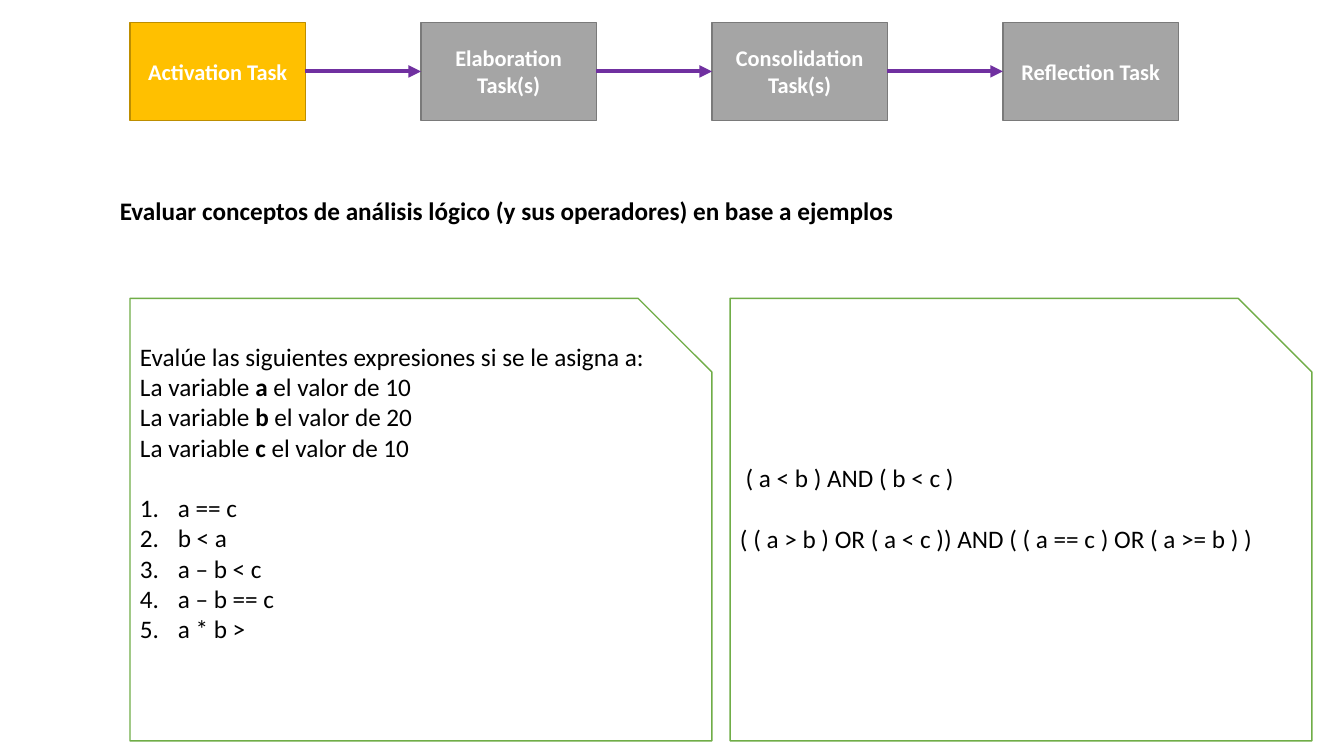
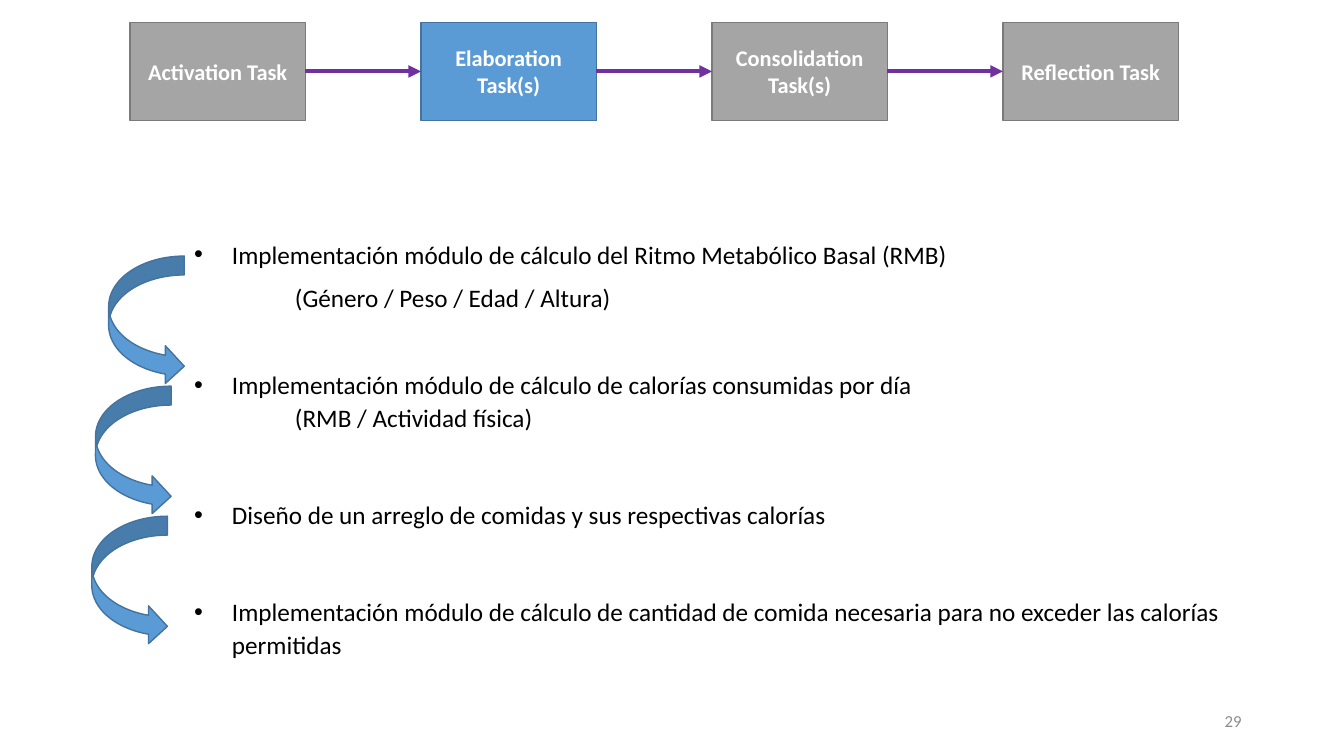
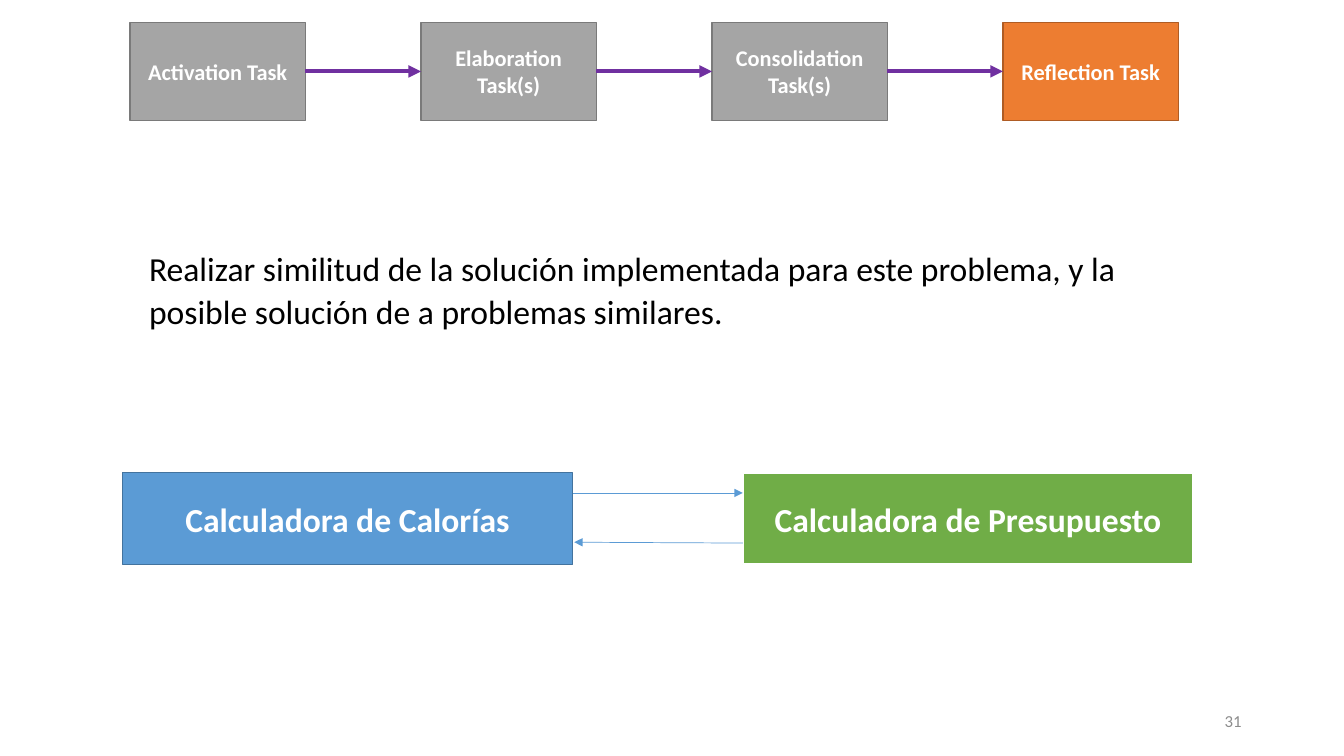
import pptx
import pptx.util
import pptx.dml.color
import pptx.enum.shapes
import pptx.enum.text
import pptx.oxml.xmlchemy

Pt = pptx.util.Pt
Shape = pptx.enum.shapes.MSO_SHAPE
Align = pptx.enum.text.PP_ALIGN
Anchor = pptx.enum.text.MSO_ANCHOR
make = pptx.oxml.xmlchemy.OxmlElement

FONT = "Calibri"
HUES = {
    "black": "000000", "white": "FFFFFF", "note": "8C8C8C",
    "gold": "FFC000", "umber": "BD8E00",
    "gray": "A5A5A5", "slate": "7A7A7A",
    "blue": "5B9BD5", "navy": "43739E",
    "orange": "ED7D31", "rust": "AF5C24",
    "green": "70AD47", "purple": "7030A0",
}
TASKS = ["Activation Task", "Elaboration Task(s)", "Consolidation Task(s)", "Reflection Task"]
ROW = 21.7
LOOSE = 1.07


def hue(name):
    return pptx.dml.color.RGBColor.from_string(HUES[name])


def write(frame, text, size=18, bold=False, color="black", align=Align.LEFT,
          left=0, hang=0, before=0, lines=None, mark=None):
    para = frame.paragraphs[0]
    if para.runs:
        para = frame.add_paragraph()
    para.alignment = align
    para.space_before = Pt(before)
    if lines:
        para.line_spacing = lines
    props = para._p.get_or_add_pPr()
    props.set("marL", str(Pt(left)))
    props.set("indent", str(Pt(hang)))
    if mark == "1.":
        props.append(make("a:buAutoNum"))
        props[-1].set("type", "arabicPeriod")
    elif mark:
        props.append(make("a:buFont"))
        props[-1].set("typeface", "Arial")
        props.append(make("a:buChar"))
        props[-1].set("char", mark)
    parts = [text] if isinstance(text, str) else text
    for spot, part in enumerate(parts):
        run = para.add_run()
        run.text = part
        run.font.name = FONT
        run.font.size = Pt(size)
        run.font.bold = bold or spot % 2 == 1
        run.font.color.rgb = hue(color)


def field(slide, box, anchor=Anchor.TOP):
    frame = slide.shapes.add_textbox(*map(Pt, box)).text_frame
    frame.word_wrap = True
    frame.vertical_anchor = anchor
    return frame


def block(slide, kind, box, fill, edge, width=1):
    shape = slide.shapes.add_shape(kind, *map(Pt, box))
    shape.shadow.inherit = False
    shape.fill.solid()
    shape.fill.fore_color.rgb = hue(fill)
    shape.line.color.rgb = hue(edge)
    shape.line.width = Pt(width)
    shape.text_frame.word_wrap = True
    shape.text_frame.vertical_anchor = Anchor.MIDDLE
    return shape


def label(slide, box, text, fill, edge, size, width=1):
    shape = block(slide, Shape.RECTANGLE, box, fill, edge, width)
    write(shape.text_frame, text, size=size, bold=True, color="white", align=Align.CENTER)
    return shape


def arrow(slide, ends, color, width):
    line = slide.shapes.add_connector(pptx.enum.shapes.MSO_CONNECTOR.STRAIGHT, *map(Pt, ends))
    line.line.color.rgb = hue(color)
    line.line.width = Pt(width)
    tip = make("a:tailEnd")
    tip.set("type", "triangle")
    line.line._get_or_add_ln().append(tip)
    line._element.spPr.append(make("a:effectLst"))
    return line


def flow(slide, box, live, fill, edge):
    left, top, wide, high = box
    size = 125.3
    step = (wide - size) / (len(TASKS) - 1)
    boxes = []
    for spot, task in enumerate(TASKS):
        pair = (fill, edge) if spot == live else ("gray", "slate")
        boxes.append(label(slide, (left + spot * step, top, size, high), task, *pair, 16))
    for prev, item in zip(boxes, boxes[1:]):
        line = arrow(slide, (0, 0, 0, 0), "purple", 3)
        line.begin_connect(prev, 3)
        line.end_connect(item, 1)


def card(slide, box, rows, blank):
    frame = block(slide, Shape.SNIP_1_RECTANGLE, box, "white", "green").text_frame
    frame.margin_bottom = Pt(3.6 + blank * ROW)
    for text, style in rows:
        write(frame, text, **style)


def steps(slide, box):
    left, top, wide, high = box
    frame = field(slide, (left + 66, top, wide - 66, high))
    dot = {"left": 27, "hang": -27, "mark": "•"}
    sub = {"left": 72}
    rows = [
        ("Implementación módulo de cálculo del Ritmo Metabólico Basal (RMB)", 0, dot),
        ("(Género / Peso / Edad / Altura)", 8, sub),
        ("Implementación módulo de cálculo de calorías consumidas por día", 39.2, dot),
        ("(RMB / Actividad física)", 0, sub),
        ("Diseño de un arreglo de comidas y sus respectivas calorías", 46.4, dot),
        ("Implementación módulo de cálculo de cantidad de comida necesaria para no exceder "
         "las calorías permitidas", 46.4, dot),
    ]
    for text, before, style in rows:
        write(frame, text, before=before, lines=LOOSE, **style)
    for spot, shift in enumerate((12, 2.6, 0)):
        spot_box = (left + shift, top + 17.3 + spot * 92.9, 54, 92.2)
        block(slide, Shape.CURVED_RIGHT_ARROW, spot_box, "blue", "navy")


def match(slide, box):
    left, top, wide, high = box
    size = 321.8
    near, far = left + size, left + wide - size
    label(slide, (left, top, size, high), "Calculadora de Calorías", "blue", "navy", 24)
    label(slide, (far, top, size, high), "Calculadora de Presupuesto", "green", "white", 24, 1.5)
    arrow(slide, (near, top + 14.4, far, top + 14.4), "blue", 0.5)
    arrow(slide, (far, top + 50.2, near + 1, top + 49.6), "blue", 0.5)


def number(slide, text):
    frame = field(slide, (678, 500.5, 216, 28.8), Anchor.MIDDLE)
    write(frame, text, size=12, color="note", align=Align.RIGHT)


def start(deck, live, fill, edge, page=None):
    slide = deck.slides.add_slide(deck.slide_layouts[6])
    if page:
        number(slide, page)
    flow(slide, (92.9, 16, 748.8, 70), live, fill, edge)
    return slide


def first(deck):
    slide = start(deck, 0, "gold", "umber")
    write(field(slide, (42.5, 134.6, 653.8, 31)),
          "Evaluar conceptos de análisis lógico (y sus operadores) en base a ejemplos",
          bold=True, left=36, lines=LOOSE)
    rows = [("Evalúe las siguientes expresiones si se le asigna a:", {})]
    for name, value in (("a", 10), ("b", 20), ("c", 10)):
        rows.append((("La variable ", f"{name} ", f"el valor de {value}"), {}))
    for spot, text in enumerate(("a == c", "b < a", "a – b < c", "a – b == c", "a * b >")):
        gap = 0 if spot else ROW
        rows.append((text, {"left": 27, "hang": -27, "mark": "1.", "before": gap}))
    logic = [
        ("( a < b ) AND ( b < c )", {"left": 4}),
        ("( ( a > b ) OR ( a < c )) AND ( ( a == c ) OR ( a >= b ) )", {"before": ROW}),
    ]
    for spot, (text, blank) in enumerate(((rows, 3), (logic, 2))):
        card(slide, (92.9 + spot * 428.6, 213.1, 415.6, 316.1), text, blank)


def second(deck):
    slide = start(deck, 1, "blue", "navy", "29")
    steps(slide, (65.6, 165.6, 819.2, 311.8))


def third(deck):
    slide = start(deck, 3, "orange", "rust", "31")
    write(field(slide, (63.4, 171.4, 789, 70)),
          "Realizar similitud de la solución implementada para este problema, y la posible "
          "solución de a problemas similares.", size=24, left=36, lines=LOOSE)
    match(slide, (87.4, 337.7, 765, 65.5))


def main():
    deck = pptx.Presentation()
    deck.slide_width, deck.slide_height = Pt(960), Pt(540)
    for build in (first, second, third):
        build(deck)
    deck.save("out.pptx")


if __name__ == "__main__":
    main()
